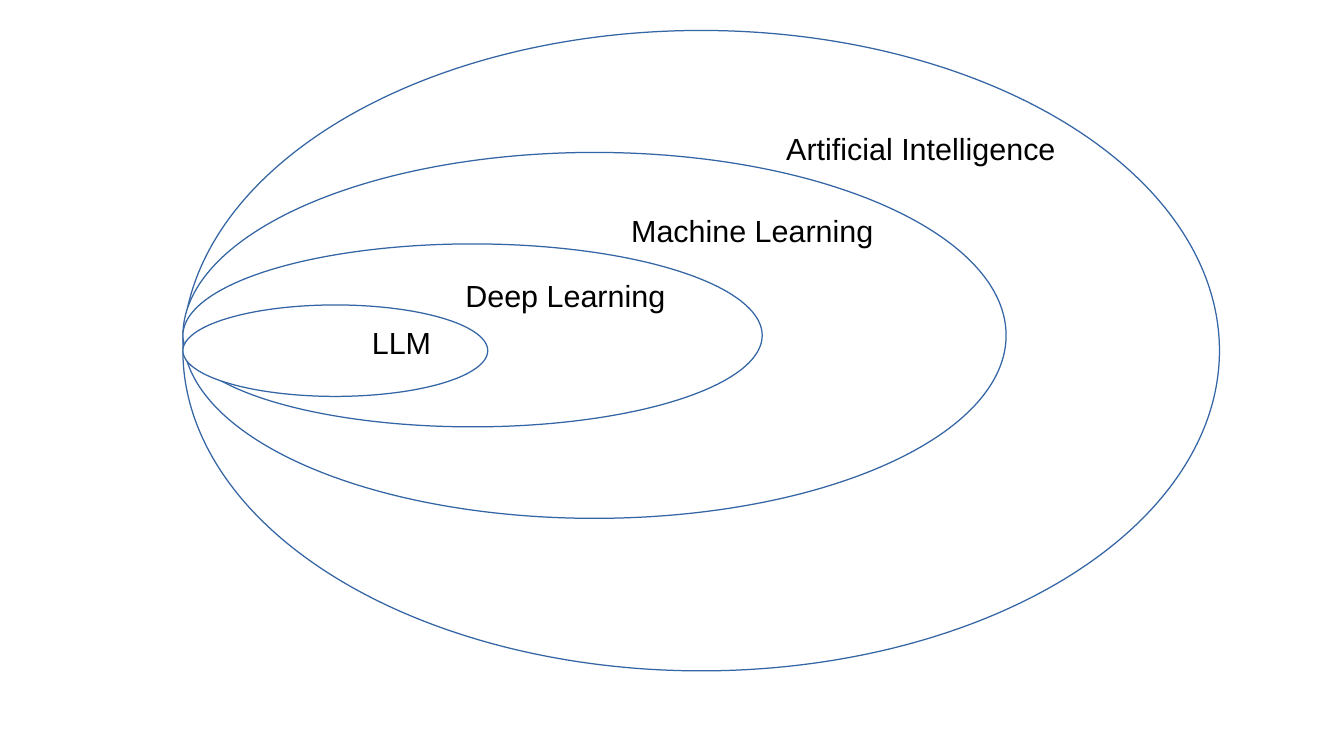
from pptx import Presentation
from pptx.dml.color import RGBColor
from pptx.enum.shapes import MSO_SHAPE
from pptx.enum.text import MSO_ANCHOR, PP_ALIGN
from pptx.util import Pt

EMU_PER_PX = 9525
WHITE = RGBColor(0xFF, 0xFF, 0xFF)
BLACK = RGBColor(0x00, 0x00, 0x00)
BLUE = RGBColor(0x34, 0x65, 0xA4)

SHARED_LEFT = 144
# label, top, width, height; outermost field first
FIELDS = [
    ("Artificial Intelligence", 24, 816, 504),
    ("Machine Learning", 120, 648, 288),
    ("Deep Learning", 192, 456, 144),
    ("LLM", 240, 240, 72),
]


def px(length):
    return length * EMU_PER_PX


def write_text(frame, text, *, size=18, font="Arial", color=BLACK,
               align=PP_ALIGN.RIGHT, anchor=MSO_ANCHOR.TOP):
    frame.word_wrap = True
    frame.vertical_anchor = anchor
    paragraph = frame.paragraphs[0]
    paragraph.alignment = align
    run = paragraph.add_run()
    run.text = text
    run.font.size = Pt(size)
    run.font.name = font
    run.font.color.rgb = color


def add_field(slide, label, top, width, height):
    """Draw one nested ellipse with its label at the upper right inside."""
    field = slide.shapes.add_shape(
        MSO_SHAPE.OVAL, px(SHARED_LEFT), px(top), px(width), px(height))
    field.shadow.inherit = False
    field.fill.solid()
    field.fill.fore_color.rgb = WHITE
    field.line.color.rgb = BLUE
    field.line.width = Pt(0)
    write_text(field.text_frame, label)


def main():
    deck = Presentation()
    deck.slide_width, deck.slide_height = px(1058), px(595)
    slide = deck.slides.add_slide(deck.slide_layouts[6])
    for label, top, width, height in FIELDS:
        add_field(slide, label, top, width, height)
    deck.save("out.pptx")


if __name__ == "__main__":
    main()
